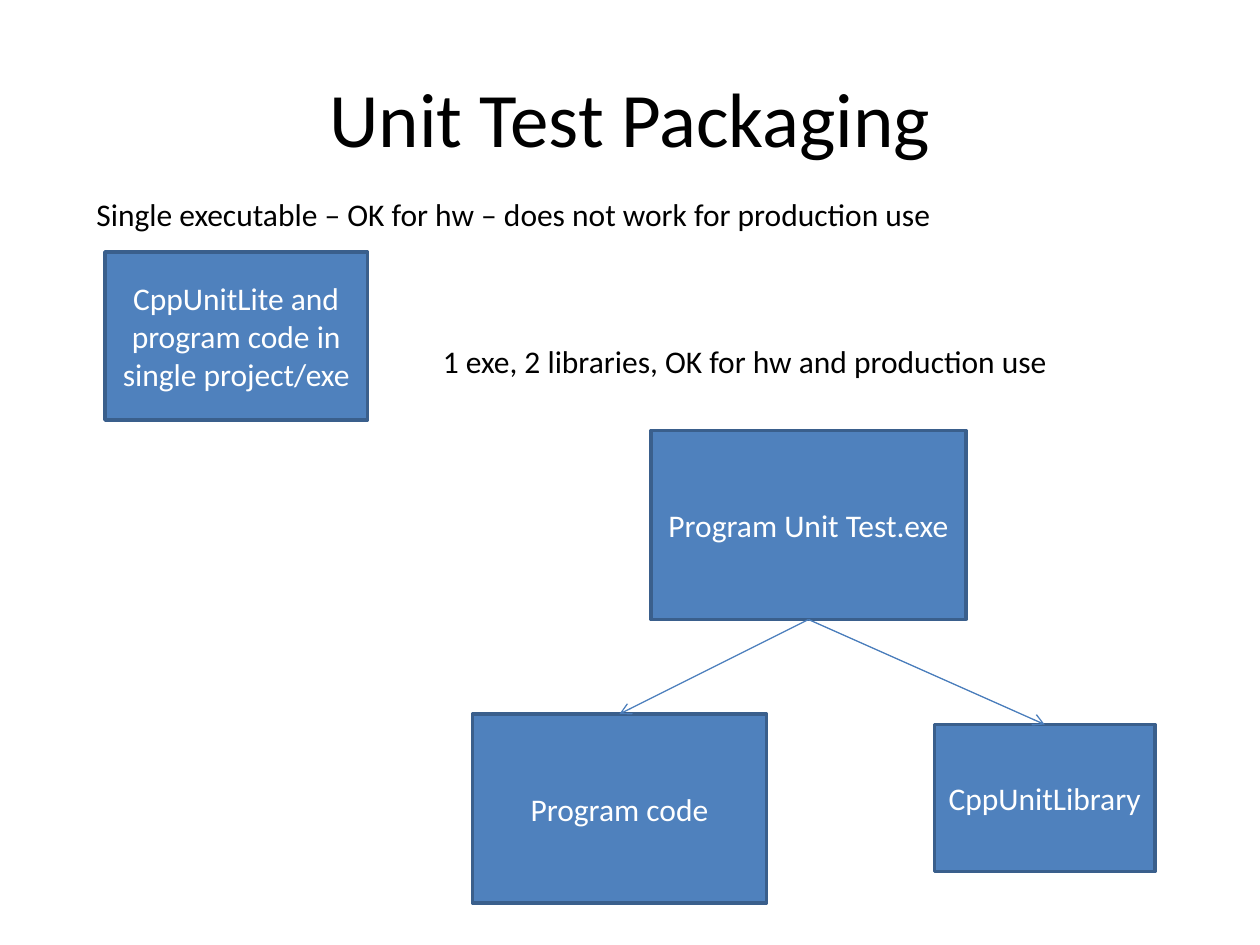
from lxml.etree import SubElement
from pptx import Presentation
from pptx.dml.color import RGBColor
from pptx.enum.shapes import MSO_CONNECTOR as Link, MSO_SHAPE as Form
from pptx.enum.text import MSO_ANCHOR as Anchor, MSO_AUTO_SIZE as Fit, PP_ALIGN as Align
from pptx.oxml.ns import qn
from pptx.util import Inches, Pt

# Content: places are left, top, width, height in cells of a 120 by 90 grid
COLS, ROWS = 120, 90
TITLE = ("Unit Test Packaging", (6, 3.6, 108, 15))
NOTES = [
    ("Single executable – OK for hw – does not work for production use", (8, 18, 82.2, 4.8)),
    ("1 exe, 2 libraries, OK for hw and production use", (41, 32, 60.7, 4.8)),
]
BOXES = {
    "single": ("CppUnitLite and program code in single project/exe", (10, 24, 25, 16)),
    "lib": ("CppUnitLibrary", (89, 69, 21, 14)),
    "code": ("Program code", (45, 68, 28, 18)),
    "test": ("Program Unit Test.exe", (62, 41, 30, 18)),
}
ARROWS = [("test", "code"), ("test", "lib")]
FILL, EDGE, ARROW, INK, PAPER = "4F81BD", "3A5F8C", "4B7EBC", "000000", "FFFFFF"
BOTTOM, TOP = 2, 0  # connection sites of a rectangle

deck = Presentation()
deck.slide_width, deck.slide_height = Inches(10), Inches(7.5)
slide = deck.slides.add_slide(deck.slide_layouts[6])
shapes = slide.shapes


def color(code):
    return RGBColor.from_string(code)


def place(cells):
    sides = (deck.slide_width / COLS, deck.slide_height / ROWS) * 2
    return [round(cell * side) for cell, side in zip(cells, sides)]


def write(shape, text, ink, size=18, align=Align.LEFT, **frame):
    for name, value in frame.items():
        setattr(shape.text_frame, name, value)
    para = shape.text_frame.paragraphs[0]
    para.alignment = align
    run = para.add_run()
    run.text = text
    run.font.color.rgb = color(ink)
    for name, value in {"name": "Calibri", "size": Pt(size)}.items():
        setattr(run.font, name, value)


MID = {"align": Align.CENTER, "vertical_anchor": Anchor.MIDDLE, "word_wrap": True}

# Title
text, cells = TITLE
write(shapes.add_textbox(*place(cells)), text, INK, 44, **MID)

# Boxes
nodes = {}
for key, (text, cells) in BOXES.items():
    box = nodes[key] = shapes.add_shape(Form.RECTANGLE, *place(cells))
    box.shadow.inherit = False
    box.fill.solid()
    box.fill.fore_color.rgb = color(FILL)
    box.line.color.rgb = color(EDGE)
    box.line.width = Pt(2)
    write(box, text, PAPER, **MID)

# Arrows from the test program to its libraries
for start, end in ARROWS:
    line = shapes.add_connector(Link.STRAIGHT, 0, 0, 0, 0)
    line.begin_connect(nodes[start], BOTTOM)
    line.end_connect(nodes[end], TOP)
    line.line.color.rgb = color(ARROW)
    line.line.width = Pt(0.75)
    SubElement(line.line._get_or_add_ln(), qn("a:tailEnd"), type="arrow")
    SubElement(line._element.spPr, qn("a:effectLst"))

# Notes
for text, cells in NOTES:
    write(shapes.add_textbox(*place(cells)), text, INK,
          word_wrap=False, auto_size=Fit.SHAPE_TO_FIT_TEXT)

deck.save("out.pptx")
